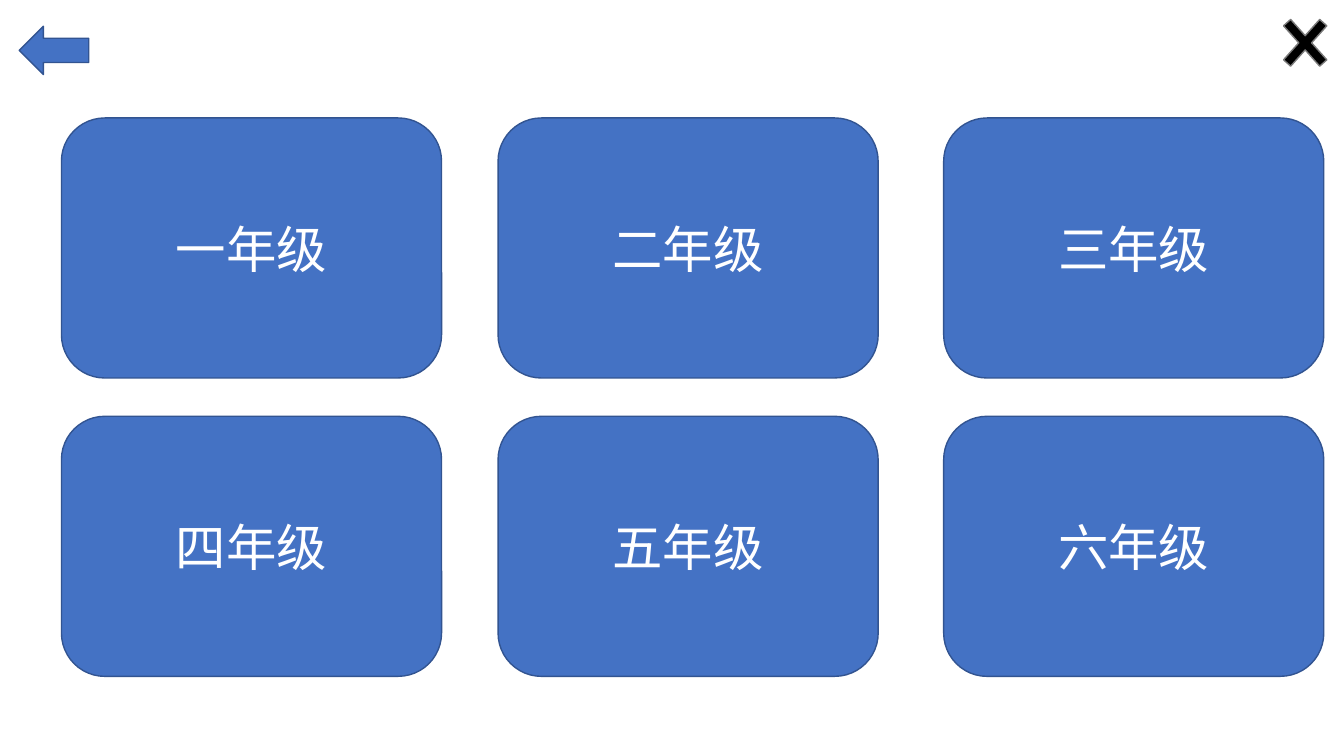
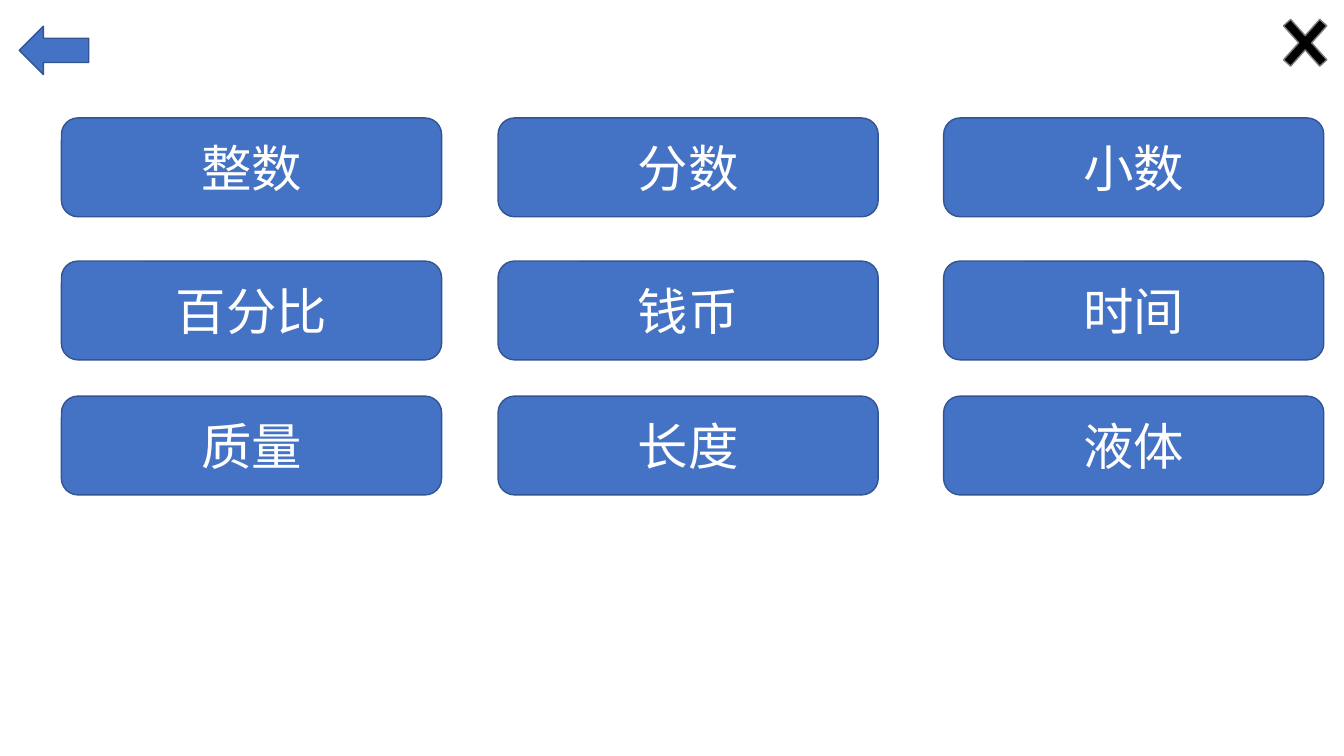
from pptx import Presentation
from pptx.dml.color import RGBColor
from pptx.enum.shapes import MSO_SHAPE
from pptx.enum.text import MSO_ANCHOR, PP_ALIGN
from pptx.util import Inches, Pt

BLUE = RGBColor(0x44, 0x72, 0xC4)
NAVY = RGBColor(0x32, 0x54, 0x91)
BLACK = RGBColor(0x00, 0x00, 0x00)
GRAY = RGBColor(0x7A, 0x7A, 0x7A)
WHITE = RGBColor(0xFF, 0xFF, 0xFF)

COLUMNS = (0.61, 4.94, 9.36)
BUTTON_WIDTH = 3.77

GRADES = (("一年级", "二年级", "三年级"),
          ("四年级", "五年级", "六年级"))
TOPICS = (("整数", "分数", "小数"),
          ("百分比", "钱币", "时间"),
          ("质量", "长度", "液体"))


class MenuDeck:
    """Builds menu slides with navigation icons and a grid of buttons."""

    def __init__(self):
        self.prs = Presentation()
        self.prs.slide_width = Inches(13.33)
        self.prs.slide_height = Inches(7.5)
        self.s = None

    def shape(self, kind, left, top, width, height, fill=BLUE, line=NAVY):
        sp = self.s.shapes.add_shape(
            kind, Inches(left), Inches(top), Inches(width), Inches(height))
        sp.shadow.inherit = False
        sp.fill.solid()
        sp.fill.fore_color.rgb = fill
        sp.line.color.rgb = line
        sp.line.width = Pt(1)
        return sp

    def button(self, text, left, top, height):
        sp = self.shape(MSO_SHAPE.ROUNDED_RECTANGLE, left, top, BUTTON_WIDTH, height)
        tf = sp.text_frame
        tf.vertical_anchor = MSO_ANCHOR.MIDDLE
        p = tf.paragraphs[0]
        p.text = text
        p.alignment = PP_ALIGN.CENTER
        p.font.name = "Calibri"
        p.font.size = Pt(36)
        p.font.color.rgb = WHITE

    def navigation(self):
        close = self.shape(MSO_SHAPE.MATH_MULTIPLY, 12.6, 0.04, 0.69, 0.77, BLACK, GRAY)
        close.adjustments[0] = 0.137
        self.shape(MSO_SHAPE.LEFT_ARROW, 0.19, 0.26, 0.69, 0.48)

    def menu(self, labels, rows, height):
        self.s = self.prs.slides.add_slide(self.prs.slide_layouts[6])
        self.navigation()
        for top, names in zip(rows, labels):
            for left, name in zip(COLUMNS, names):
                self.button(name, left, top, height)


deck = MenuDeck()
deck.menu(GRADES, rows=(1.17, 4.13), height=2.58)
deck.menu(TOPICS, rows=(1.17, 2.59, 3.93), height=0.98)
deck.prs.save("out.pptx")
